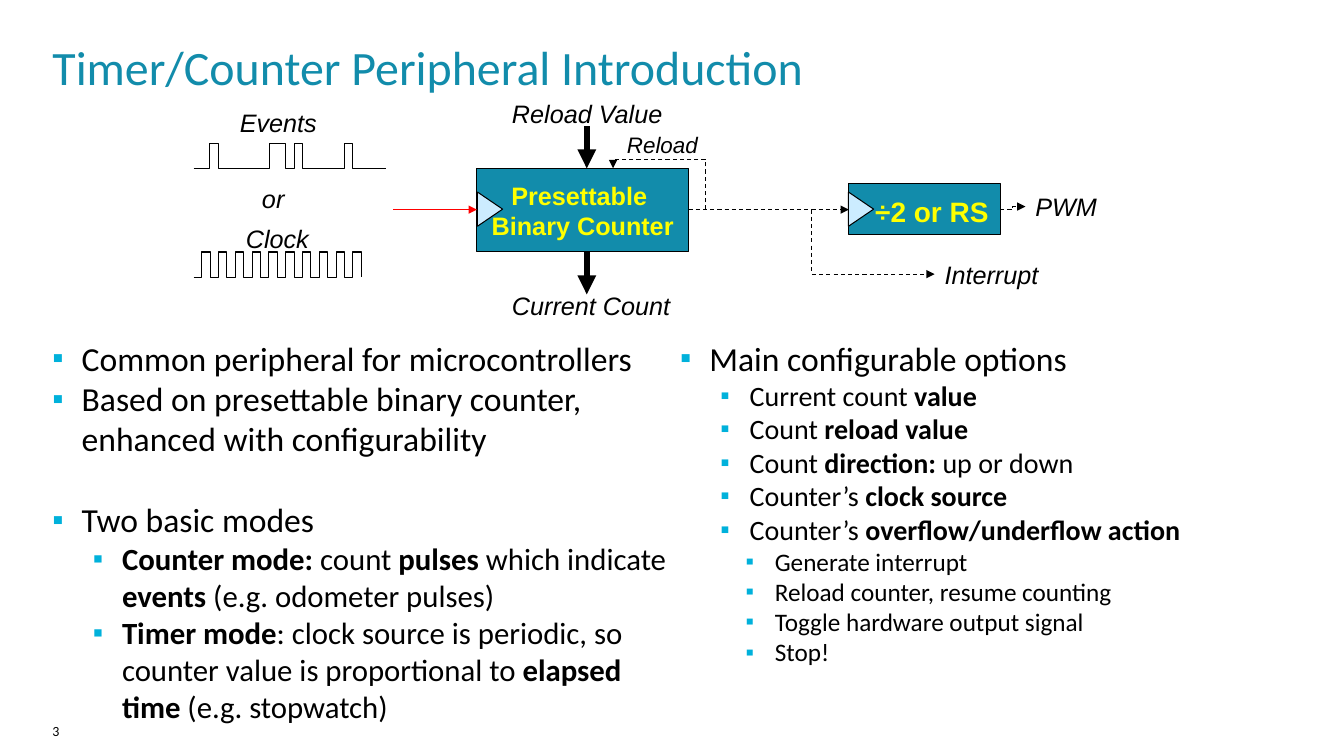
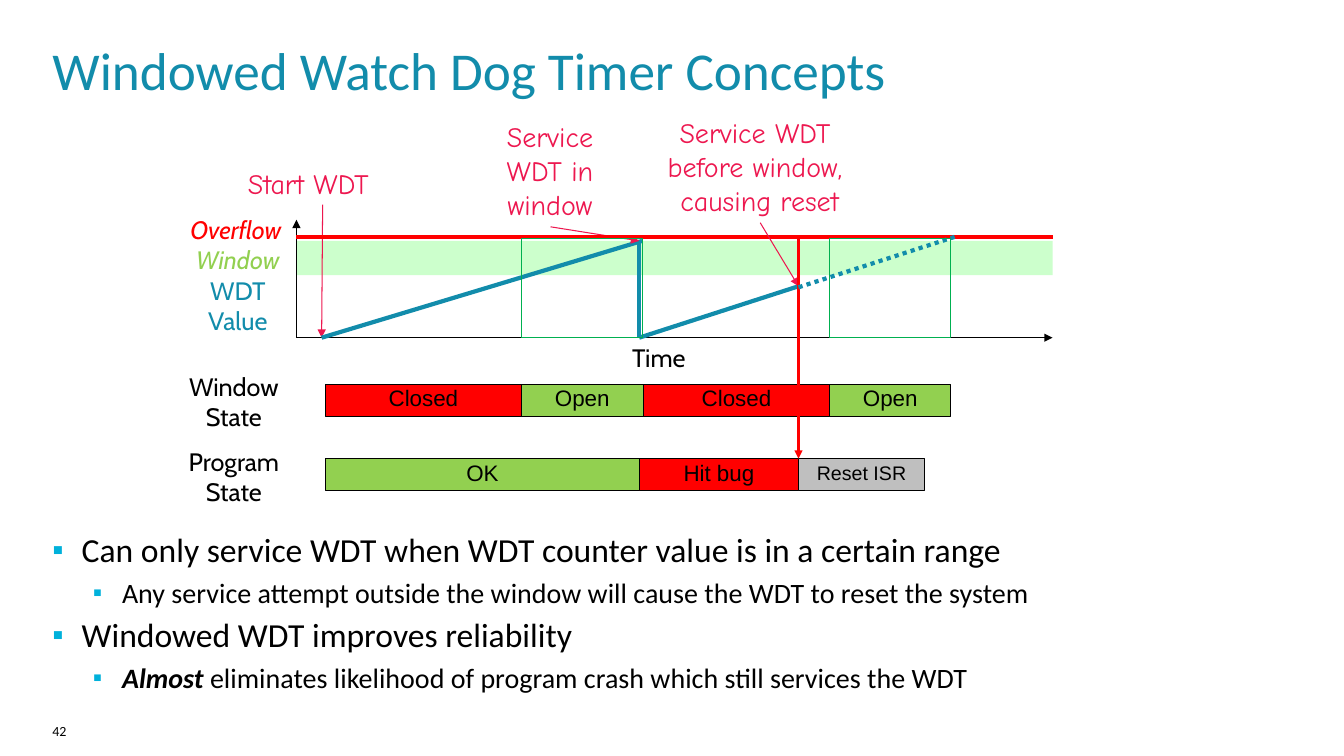
"""Build two slides about timer peripherals and windowed watchdog timers."""
from dataclasses import dataclass
from typing import Optional

from lxml import etree
from pptx import Presentation
from pptx import util as u
from pptx.dml.color import RGBColor
from pptx.enum import dml, shapes, text
from pptx.oxml.ns import qn

COLORS = {
    "teal": "128CAB", "black": "000000", "bullet": "00B1DB", "yellow": "FFFF00",
    "ice": "CCECFF", "red": "FF0000", "green": "92D050", "mint": "CCFFCC",
    "outline": "00B050", "pink": "ED174F", "gray": "BFBFBF",
}
INDENTS = (0.29, 0.69, 0.94)
HANGING = 0.29
LEFT_MARGIN = 0.52
CENTER = text.PP_ALIGN.CENTER
LEFT = text.PP_ALIGN.LEFT
DASH = dml.MSO_LINE.DASH
DOTS = dml.MSO_LINE.ROUND_DOT


@dataclass
class Style:
    size: float = 18
    font: str = "Arial"
    color: str = "black"
    bold: bool = False
    italic: bool = False


@dataclass
class Bullet:
    """Text whose parts between bars are emphasized."""
    content: str
    level: int
    size: float
    before: float = 0
    italic: bool = False


@dataclass
class Label:
    content: str
    box: tuple
    style: Style
    align: text.PP_ALIGN = LEFT
    wrap: bool = False


@dataclass
class Line:
    start: tuple
    end: tuple
    color: str = "black"
    width: float = 0.75
    arrow: bool = False
    dash: Optional[dml.MSO_LINE] = None
    elbow: bool = False


@dataclass
class Block:
    content: str
    left: float
    right: float
    top: float
    color: str
    size: float = 16


def rgb(name: str) -> RGBColor:
    return RGBColor.from_string(COLORS[name])


def lengths(box: tuple) -> list:
    return [u.Inches(value) for value in box]


def add_run(paragraph, content: str, style: Style) -> None:
    run = paragraph.add_run()
    run.text = content
    font = run.font
    font.size, font.name = u.Pt(style.size), style.font
    font.bold, font.italic = style.bold, style.italic
    font.color.rgb = rgb(style.color)


def fill_text(frame, content: str, style: Style, align: text.PP_ALIGN = LEFT) -> None:
    for index, words in enumerate(content.split("\n")):
        paragraph = frame.add_paragraph() if index else frame.paragraphs[0]
        paragraph.alignment = align
        add_run(paragraph, words, style)


def set_margins(frame, left: float = 0, top: float = 0, right: float = 0, bottom: float = 0) -> None:
    frame.margin_left, frame.margin_top = u.Inches(left), u.Inches(top)
    frame.margin_right, frame.margin_bottom = u.Inches(right), u.Inches(bottom)


def place(shape, box: tuple) -> None:
    shape.left, shape.top, shape.width, shape.height = lengths(box)


def style_line(shape, color: str = "black", width: float = 0.75, arrow: bool = False,
               dash: Optional[dml.MSO_LINE] = None) -> None:
    shape.line.color.rgb = rgb(color)
    shape.line.width = u.Pt(width)
    if dash is not None:
        shape.line.dash_style = dash
    if arrow:
        outline = shape.element.spPr.find(qn("a:ln"))
        etree.SubElement(outline, qn("a:tailEnd"), type="triangle")


def add_line(slide, line: Line) -> None:
    kind = shapes.MSO_CONNECTOR.ELBOW if line.elbow else shapes.MSO_CONNECTOR.STRAIGHT
    connector = slide.shapes.add_connector(kind, *lengths(line.start + line.end))
    style_line(connector, line.color, line.width, line.arrow, line.dash)
    etree.SubElement(connector.element.spPr, qn("a:effectLst"))


def add_label(slide, label: Label) -> None:
    box = slide.shapes.add_textbox(*lengths(label.box))
    box.text_frame.word_wrap = label.wrap
    fill_text(box.text_frame, label.content, label.style, label.align)


def add_box(slide, box: tuple, fill: Optional[str], outline: Optional[str] = "black",
            kind: shapes.MSO_SHAPE = shapes.MSO_SHAPE.RECTANGLE):
    shape = slide.shapes.add_shape(kind, *lengths(box))
    shape.shadow.inherit = False
    if fill:
        shape.fill.solid()
        shape.fill.fore_color.rgb = rgb(fill)
    else:
        shape.fill.background()
    if outline:
        style_line(shape, outline)
    else:
        shape.line.fill.background()
    return shape


def add_clock_input(slide, left: float) -> None:
    shape = add_box(slide, (left, 1.95, 0.34, 0.25), "ice",
                    kind=shapes.MSO_SHAPE.ISOSCELES_TRIANGLE)
    shape.rotation = 90


def add_outline(slide, points: list, arrow: bool = False,
                dash: Optional[dml.MSO_LINE] = None) -> None:
    corners = [tuple(lengths(point)) for point in points]
    builder = slide.shapes.build_freeform(*corners[0])
    builder.add_line_segments(corners[1:], close=False)
    shape = builder.convert_to_shape()
    shape.shadow.inherit = False
    shape.fill.background()
    style_line(shape, arrow=arrow, dash=dash)


def add_pulses(slide, start: float, edges: list, high: float, low: float,
               end: Optional[float] = None) -> None:
    points, level = [(start, low)], low
    for edge in edges:
        points.append((edge, level))
        level = high if level == low else low
        points.append((edge, level))
    if end is not None:
        points.append((end, level))
    add_outline(slide, points)


def add_block(slide, block: Block) -> None:
    shape = add_box(slide, (block.left, block.top, block.right - block.left, 0.32), block.color)
    frame = shape.text_frame
    frame.vertical_anchor = text.MSO_ANCHOR.MIDDLE
    fill_text(frame, block.content, Style(block.size), CENTER)
    frame.paragraphs[0].line_spacing = 0.8


def add_bullet(paragraph, bullet: Bullet) -> None:
    paragraph.level = bullet.level
    paragraph.space_before = u.Pt(bullet.before)
    properties = paragraph._p.get_or_add_pPr()
    properties.set("marL", str(u.Inches(INDENTS[bullet.level])))
    properties.set("indent", str(-u.Inches(HANGING)))
    color = etree.SubElement(properties, qn("a:buClr"))
    etree.SubElement(color, qn("a:srgbClr"), val=COLORS["bullet"])
    etree.SubElement(properties, qn("a:buSzPct"), val="95000")
    etree.SubElement(properties, qn("a:buFont"), typeface="Arial")
    etree.SubElement(properties, qn("a:buChar"), char="▪")
    for index, words in enumerate(bullet.content.split("|")):
        strong = index % 2 == 1
        if words:
            add_run(paragraph, words,
                    Style(bullet.size, "Calibri", bold=strong, italic=strong and bullet.italic))


def start_slide(presentation, number: str, title: str, title_size: float,
                body_box: tuple, bullets: list, columns: int = 1):
    slide = presentation.slides.add_slide(presentation.slide_layouts[1])
    heading, body = slide.placeholders[0], slide.placeholders[1]
    place(heading, (LEFT_MARGIN, 0.37, 12.21, 0.63))
    place(body, body_box)
    for frame in (heading.text_frame, body.text_frame):
        set_margins(frame)
        frame.word_wrap = True
        frame.auto_size = text.MSO_AUTO_SIZE.NONE
        frame.vertical_anchor = text.MSO_ANCHOR.TOP
    fill_text(heading.text_frame, title, Style(title_size, "Calibri", "teal"))
    body.text_frame._txBody.bodyPr.set("numCol", str(columns))
    for index, bullet in enumerate(bullets):
        frame = body.text_frame
        add_bullet(frame.add_paragraph() if index else frame.paragraphs[0], bullet)
    footer = slide.shapes.add_textbox(*lengths((LEFT_MARGIN, 7.17, 1.43, 0.26)))
    set_margins(footer.text_frame, right=0.1)
    fill_text(footer.text_frame, number, Style(10, "Calibri"))
    return slide


def build_counter_slide(presentation) -> None:
    bullets = [
        Bullet("Common peripheral for microcontrollers", 0, 24),
        Bullet("Based on presettable binary counter, enhanced with configurability", 0, 24),
        Bullet("Two basic modes", 0, 24, before=29),
        Bullet("|Counter mode: |count |pulses |which indicate |events |(e.g. odometer pulses)", 1, 22),
        Bullet("|Timer mode|: clock source is periodic, so counter value is proportional to "
               "|elapsed time |(e.g. stopwatch)", 1, 22),
        Bullet("Main configurable options", 0, 24),
        Bullet("Current count |value", 1, 20),
        Bullet("Count |reload value", 1, 20),
        Bullet("Count |direction: |up or down", 1, 20),
        Bullet("Counter’s |clock source", 1, 20),
        Bullet("Counter’s |overflow/underflow action", 1, 20),
        Bullet("Generate interrupt", 2, 18),
        Bullet("Reload counter, resume counting", 2, 18),
        Bullet("Toggle hardware output signal", 2, 18),
        Bullet("Stop!", 2, 18),
    ]
    slide = start_slide(presentation, "3", "Timer/Counter Peripheral Introduction", 34.2,
                        (LEFT_MARGIN, 3.35, 12.45, 4.03), bullets, columns=2)
    italic = Style(italic=True)
    for content, box in (
        ("Events", (2.28, 1.02, 0.97, 0.4)), ("or", (2.5, 1.77, 0.42, 0.4)),
        ("Clock", (2.34, 2.17, 0.83, 0.4)), ("Reload Value", (4.98, 0.93, 1.7, 0.4)),
        ("Current Count", (4.98, 2.83, 1.77, 0.4)), ("PWM", (10.17, 1.85, 0.81, 0.4)),
        ("Interrupt", (9.27, 2.52, 1.13, 0.4)),
    ):
        add_label(slide, Label(content, box, italic))
    add_label(slide, Label("Reload", (6.12, 1.25, 1.05, 0.37), Style(16, italic=True), wrap=True))

    counter = add_box(slide, (4.73, 1.67, 2.1, 0.83), "teal").text_frame
    counter.word_wrap = False
    counter.vertical_anchor = text.MSO_ANCHOR.MIDDLE
    fill_text(counter, "Presettable \nBinary Counter", Style(color="yellow", bold=True), CENTER)
    divider = add_box(slide, (8.42, 1.82, 1.5, 0.51), "teal").text_frame
    set_margins(divider, left=0.26, top=0.05)
    divider.vertical_anchor = text.MSO_ANCHOR.MIDDLE
    fill_text(divider, "÷2 or RS", Style(20, color="yellow", bold=True))
    for left in (4.69, 8.37):
        add_clock_input(slide, left)

    for line in (
        Line((3.9, 2.08), (4.73, 2.08), "red", arrow=True),
        Line((5.82, 1.25), (5.82, 1.67), width=4.5, arrow=True),
        Line((5.82, 2.5), (5.82, 2.92), width=4.5, arrow=True),
        Line((6.83, 2.08), (8.42, 2.08), arrow=True, dash=DASH),
        Line((9.92, 2.08), (10.17, 2.05), arrow=True, dash=DASH, elbow=True),
        Line((6.83, 2.08), (9.27, 2.72), arrow=True, dash=DASH, elbow=True),
    ):
        add_line(slide, line)
    add_outline(slide, [(7, 2.08), (7, 1.58), (6.08, 1.58), (6.08, 1.67)], True, DASH)
    add_pulses(slide, 1.92, [2.08, 2.17, 2.67, 2.83, 2.92, 3, 3.42, 3.5], 1.42, 1.67, 3.83)
    add_pulses(slide, 1.92, [2 + step / 12 for step in range(20)], 2.5, 2.75)


def build_watchdog_slide(presentation) -> None:
    bullets = [
        Bullet("Can only service WDT when WDT counter value is in a certain range", 0, 24, 4),
        Bullet("Any service attempt outside the window will cause the WDT to reset the system", 1, 20, 4),
        Bullet("Windowed WDT improves reliability", 0, 24, 4),
        Bullet("|Almost |eliminates likelihood of program crash which still services the WDT",
               1, 20, 4, italic=True),
    ]
    slide = start_slide(presentation, "42", "Windowed Watch Dog Timer Concepts", 38,
                        (LEFT_MARGIN, 5.25, 12.45, 1.67), bullets)
    add_box(slide, (2.94, 2.39, 7.5, 0.34), "mint", None)
    window_top, program_top = 3.81, 4.55
    for block in (
        Block("Closed", 3.23, 5.17, window_top, "red"),
        Block("Open", 5.17, 6.38, window_top, "green"),
        Block("Closed", 6.38, 8.23, window_top, "red"),
        Block("Open", 8.23, 9.43, window_top, "green"),
        Block("OK", 3.23, 6.34, program_top, "green"),
        Block("Hit bug", 6.34, 7.92, program_top, "red"),
        Block("Reset ISR", 7.92, 9.17, program_top, "gray", 14),
    ):
        add_block(slide, block)

    for line in (
        Line((2.94, 3.35), (10.44, 3.35), arrow=True),
        Line((2.94, 3.35), (2.94, 2.18), arrow=True),
        Line((3.2, 2.03), (3.19, 3.35), "pink", arrow=True),
        Line((3.19, 3.35), (6.37, 2.39), "teal", 3),
        Line((6.34, 2.39), (6.34, 3.35), "teal", 3),
        Line((5.46, 2.25), (6.34, 2.39), "pink", arrow=True),
        Line((6.34, 3.35), (7.92, 2.84), "teal", 3),
        Line((2.94, 2.35), (10.44, 2.35), "red", 3),
        Line((7.54, 2.21), (7.92, 2.84), "pink", arrow=True),
        Line((7.92, 2.37), (7.92, 4.55), "red", 1.5, arrow=True),
        Line((7.92, 2.85), (9.5, 2.34), "teal", 3, dash=DOTS),
    ):
        add_line(slide, line)
    for left in (5.17, 8.23):
        add_box(slide, (left, 2.37, 1.2, 0.98), None, "outline")

    cabin, note = Style(font="Cabin"), Style(20, "Comic Neue", "pink")
    for label in (
        Label("Time", (6.17, 3.35, 0.75, 0.4), cabin),
        Label("Overflow", (1.69, 2.08, 1.3, 0.4), Style(18, "Cabin", "red", italic=True), CENTER, True),
        Label("Window", (1.71, 2.37, 1.3, 0.4), Style(18, "Cabin", "green", italic=True), CENTER, True),
        Label("WDT\nValue", (1.71, 2.68, 1.3, 0.7), Style(18, "Cabin", "teal"), CENTER, True),
        Label("Window State", (1.67, 3.63, 1.3, 0.71), cabin, CENTER, True),
        Label("Program State", (1.67, 4.38, 1.3, 0.71), cabin, CENTER, True),
        Label("Start WDT", (2.36, 1.6, 1.69, 0.43), note),
        Label("Service WDT in window", (4.83, 1.14, 1.25, 1.11), note, CENTER, True),
        Label("Service WDT \nbefore window, \ncausing reset", (6.4, 1.1, 2.27, 1.11), note, CENTER),
    ):
        add_label(slide, label)


def main() -> None:
    presentation = Presentation()
    presentation.slide_width, presentation.slide_height = u.Inches(13.33), u.Inches(7.5)
    build_counter_slide(presentation)
    build_watchdog_slide(presentation)
    presentation.save("out.pptx")


if __name__ == "__main__":
    main()
